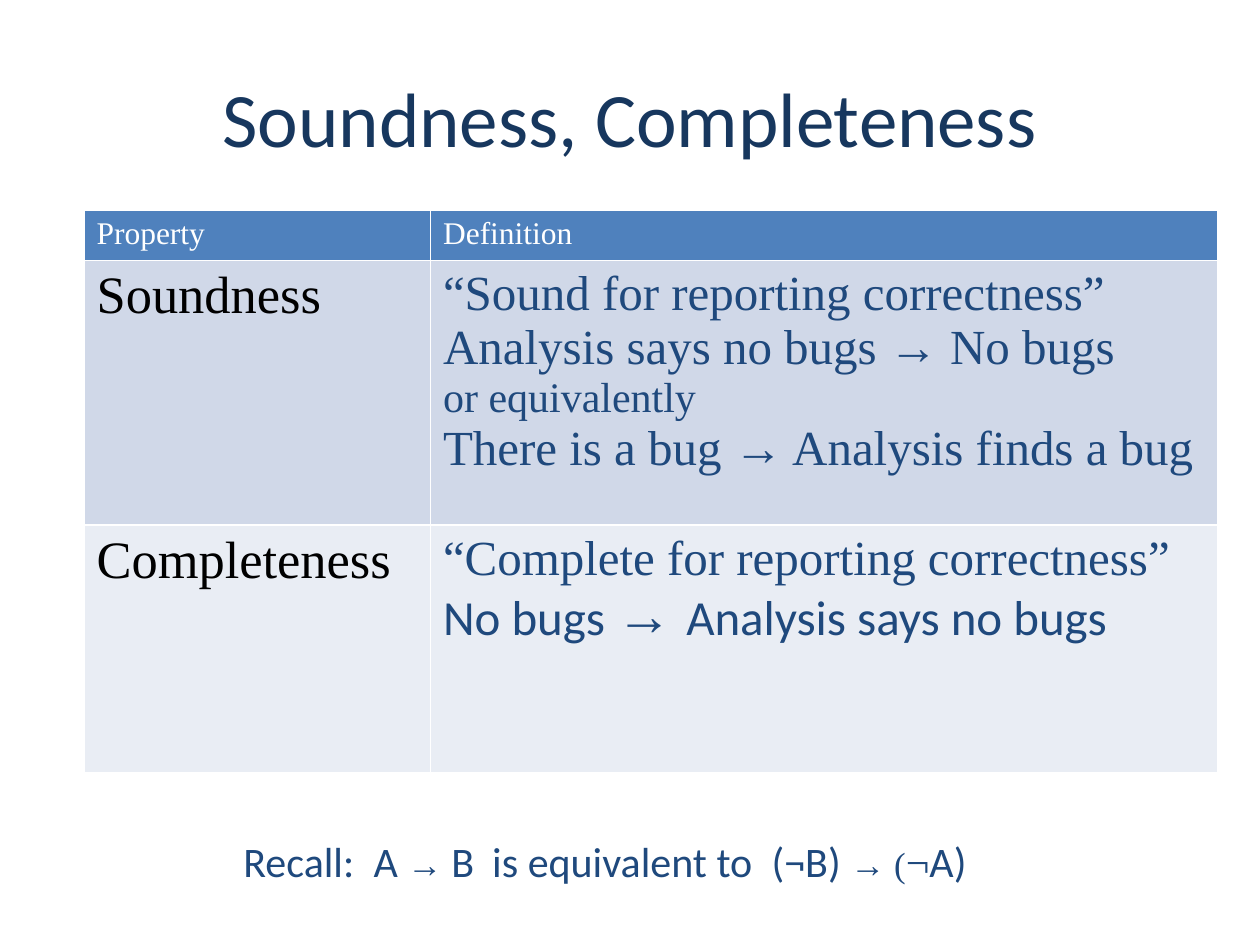
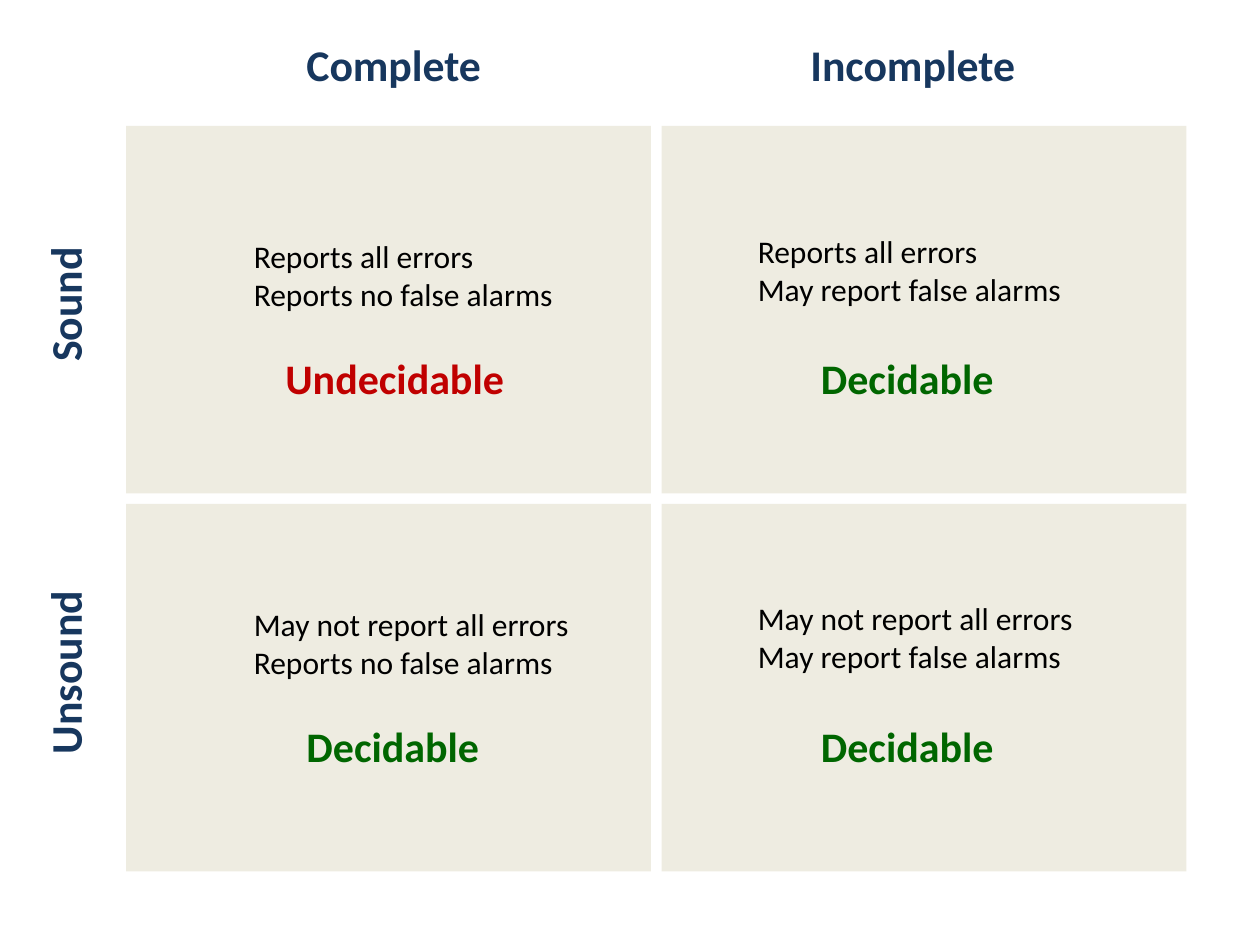
from collections import namedtuple

from lxml import etree
from pptx import Presentation
from pptx.dml.color import RGBColor
from pptx.enum.shapes import MSO_SHAPE as Shape
from pptx.enum.text import MSO_ANCHOR as Anchor, PP_ALIGN as Align
from pptx.oxml.ns import qn
from pptx.util import Inches, Pt

# The slide is a grid of 120 columns by 90 rows, 12 to the inch
COLUMNS, ROWS, PER_INCH = 120, 90, 12
COLORS = {
    "heading": "17375E", "body": "1F497D", "black": "000000", "white": "FFFFFF",
    "header": "4F81BD", "band_dark": "D0D8E8", "band_light": "E9EDF4",
    "quadrant": "EEECE1", "bad": "C00000", "good": "006600",
}
SANS, SERIF = "Calibri", "Times New Roman"

Box = namedtuple("Box", "x y w h")


def grid(units):
    return Inches(units / PER_INCH)


def place(box):
    return [grid(units) for units in box]


def paint(fill, color):
    fill.solid()
    fill.fore_color.rgb = RGBColor.from_string(COLORS[color])


def write(frame, lines, align=Align.LEFT, anchor=Anchor.TOP, tabs=(), **look):
    """Each line is a text or a list of (text, overrides) runs."""
    frame.word_wrap = True
    frame.vertical_anchor = anchor
    for number, line in enumerate(lines):
        paragraph = frame.add_paragraph() if number else frame.paragraphs[0]
        if tabs:
            stops = etree.SubElement(paragraph._p.get_or_add_pPr(), qn("a:tabLst"))
            for stop in tabs:
                etree.SubElement(stops, qn("a:tab"), pos=str(grid(stop)), algn="l")
        paragraph.alignment = align
        for words, changes in [(line, {})] if isinstance(line, str) else line:
            style = {"size": 18, "font": SANS, "color": "black", "bold": False,
                     **look, **changes}
            run = paragraph.add_run()
            run.text = words
            run.font.size = Pt(style["size"])
            run.font.name = style["font"]
            run.font.bold = style["bold"]
            run.font.color.rgb = RGBColor.from_string(COLORS[style["color"]])


def label(slide, box, lines, rotation=0, **look):
    holder = slide.shapes.add_textbox(*place(box))
    holder.rotation = rotation
    write(holder.text_frame, lines, **look)


def draw_borders(cell, color="white", width=1):
    properties = cell._tc.get_or_add_tcPr()
    for side in ("lnL", "lnR", "lnT", "lnB"):
        line = etree.SubElement(properties, qn(f"a:{side}"), w=str(Pt(width)))
        solid = etree.SubElement(line, qn("a:solidFill"))
        etree.SubElement(solid, qn("a:srgbClr"), val=COLORS[color])


# Slide 1: definitions
def definition_table(slide, box):
    soundness = [
        "“Sound for reporting correctness”",
        "Analysis says no bugs → No bugs",
        [("or equivalently", {"size": 24})],
        "There is a bug → Analysis finds a bug",
    ]
    completeness = [
        "“Complete for reporting correctness”",
        [("No bugs ", {"font": SANS}), ("→ ", {"size": 32}),
         ("Analysis says no bugs", {"font": SANS})],
    ]
    header = {"color": "white"}
    term = {"size": 30}
    meaning = {"size": 28, "color": "body"}
    rows = [
        ("header", 4.4, (["Property"], header), (["Definition"], header)),
        ("band_dark", 25.2, (["Soundness"], term), (soundness, meaning)),
        ("band_light", 23.6, (["Completeness"], term), (completeness, meaning)),
    ]
    table = slide.shapes.add_table(len(rows), 2, *place(box)).table
    table.first_row = table.horz_banding = False
    term_width = 33
    for column, width in zip(table.columns, (term_width, box.w - term_width)):
        column.width = grid(width)
    for r, (band, height, *entries) in enumerate(rows):
        table.rows[r].height = grid(height)
        for c, (lines, look) in enumerate(entries):
            cell = table.cell(r, c)
            draw_borders(cell)
            paint(cell.fill, band)
            write(cell.text_frame, lines, font=SERIF, **look)


def recall_note(slide, box):
    symbol = {"size": 20, "font": SERIF}
    recall = [
        ("Recall:\tA ", {}), ("→ ", symbol), ("B\tis equivalent to\t(¬B) ", {}),
        ("→ (", symbol), ("¬", {"font": SERIF}), ("A)", {}),
    ]
    label(slide, box, [recall], size=24, color="body", tabs=(12.4, 23.7, 50.3))


def definitions_slide(slide):
    label(slide, Box(6, 3.6, COLUMNS - 12, 15), ["Soundness, Completeness"],
          size=44, color="heading", align=Align.CENTER, anchor=Anchor.MIDDLE)
    definition_table(slide, Box(8, 20, 108, 53.2))
    recall_note(slide, Box(22, 79, 74, 6))


# Slide 2: soundness against completeness
def quadrants(slide, box, gap=1):
    width, height = (box.w - gap) / 2, (box.h - gap) / 2
    for r in range(2):
        for c in range(2):
            corner = Box(box.x + c * (width + gap), box.y + r * (height + gap),
                         width, height)
            panel = slide.shapes.add_shape(Shape.RECTANGLE, *place(corner))
            panel.shadow.inherit = False
            panel.line.fill.background()
            paint(panel.fill, "quadrant")


def axis_labels(slide, box):
    look = {"size": 25, "color": "heading", "bold": True}
    height = 6.2
    for c, (name, width) in enumerate([("Complete", 21), ("Incomplete", 22)]):
        label(slide, Box(box.x + 16 + 48 * c, box.y - 9, width, height), [name], **look)
    # Turned labels are centred on a point left of each row
    for name, middle, length in [("Sound", 16.8, 13.7), ("Unsound", 51, 20)]:
        label(slide, Box(box.x - 5.85 - length / 2, box.y + middle - height / 2,
                         length, height), [name], rotation=270, **look)


def findings(slide, box):
    column_step, row_step = 48, 35
    errors = ["Reports all errors", "May not report all errors"]
    alarms = ["Reports no false alarms", "May report false alarms"]
    for r, error in enumerate(errors):
        for c, alarm in enumerate(alarms):
            x, y = box.x + c * column_step, box.y + r * row_step
            label(slide, Box(x + 11, y + 10 - c / 2, 36, 8.5), [error, alarm])
            if r == c == 0:
                verdict, color, indent, width = "Undecidable", "bad", 14, 24
            else:
                verdict, color, indent, width = "Decidable", "good", 16 + c, 21
            label(slide, Box(x + indent, y + 21, width, 6), [verdict],
                  size=24, color=color, bold=True)


def matrix_slide(slide):
    matrix = Box(12, 12, 101, 71)
    for part in (quadrants, axis_labels, findings):
        part(slide, matrix)


def main():
    deck = Presentation()
    deck.slide_width, deck.slide_height = grid(COLUMNS), grid(ROWS)
    blank = deck.slide_layouts[6]
    for build in (definitions_slide, matrix_slide):
        build(deck.slides.add_slide(blank))
    deck.save("out.pptx")


if __name__ == "__main__":
    main()
